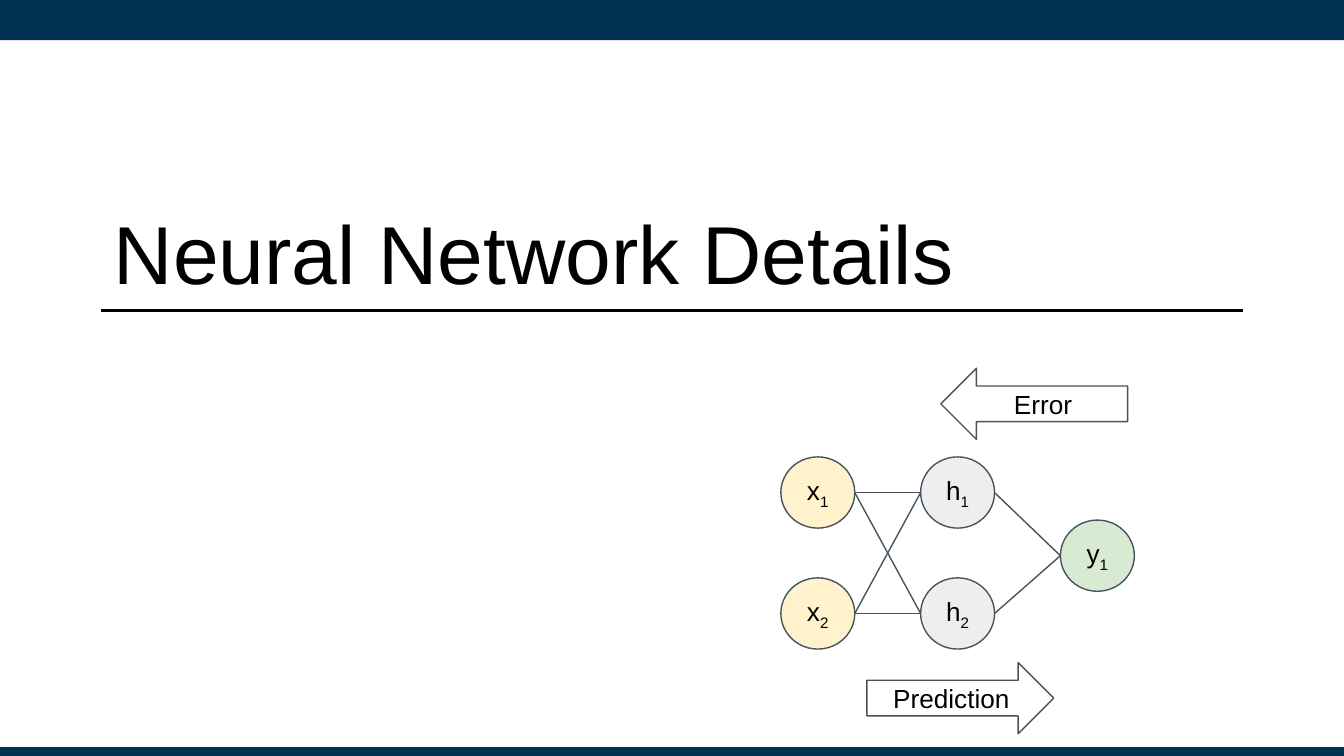
from itertools import product
from lxml.etree import SubElement
from pptx import Presentation
from pptx.dml.color import RGBColor
from pptx.enum.shapes import MSO_CONNECTOR, MSO_SHAPE
from pptx.enum.text import MSO_ANCHOR, PP_ALIGN
from pptx.oxml.ns import qn
from pptx.util import Inches, Pt

COLORS = {"navy": "003252", "black": "000000", "white": "FFFFFF", "edge": "46535E",
          "x": "FFF2CC", "h": "EEEEEE", "y": "D9EAD3"}
RGB = {name: RGBColor.from_string(code) for name, code in COLORS.items()}
PAD = Inches(0.1)
FRAME = {"word_wrap": True, "vertical_anchor": MSO_ANCHOR.MIDDLE,
         "margin_left": PAD, "margin_right": PAD}

# Slide in 16:9 format
deck = Presentation()
deck.slide_width = Inches(10)
deck.slide_height = Inches(10) * 9 // 16
slide = deck.slides.add_slide(deck.slide_layouts[6])
shapes = slide.shapes


def write(shape, text, size, pad, align, sub=""):
    frame = shape.text_frame
    for key, value in {**FRAME, "margin_top": pad, "margin_bottom": pad}.items():
        setattr(frame, key, value)
    para = frame.paragraphs[0]
    para.alignment = align
    for part in filter(None, (text, sub)):
        run = para.add_run()
        run.text = part
        for key, value in {"name": "Arial", "size": Pt(size)}.items():
            setattr(run.font, key, value)
        run.font.color.rgb = RGB["black"]
    if sub:
        run._r.get_or_add_rPr().set("baseline", "-25000")


def join(start, end, color, width):
    line = shapes.add_connector(MSO_CONNECTOR.STRAIGHT, *map(Inches, start + end))
    line.line.color.rgb = RGB[color]
    line.line.width = Pt(width)
    SubElement(line._element.spPr, qn("a:effectLst"))


# Bars at top and bottom
for top, high in ((0, 0.3), (5.56, 0.08)):
    bar = shapes.add_shape(MSO_SHAPE.RECTANGLE, 0, Inches(top), Inches(10), Inches(high))
    bar.shadow.inherit = False
    bar.fill.solid()
    bar.fill.fore_color.rgb = RGB["navy"]
    bar.line.fill.background()

# Title and rule
join((0.75, 2.31), (9.25, 2.31), "black", 1.25)
title = shapes.add_textbox(Inches(0.75), Inches(1.5), Inches(8.5), Inches(0.74))
write(title, "Neural Network Details", 44, Inches(0.05), PP_ALIGN.LEFT)

# Network nodes and flow arrows
WIDE, HIGH, LONG = 0.55, 0.53, 1.39
left = {name: 5.81 + 1.04 * col for col, name in enumerate("xhy")}
tops = {"x": (3.4, 4.3), "h": (3.4, 4.3), "y": (3.87,)}
parts = [(MSO_SHAPE.OVAL, left[name], top, WIDE, name, name, str(num))
         for name in tops for num, top in enumerate(tops[name], 1)]
parts += [(MSO_SHAPE.LEFT_ARROW, 7, 2.74, LONG, "white", "Error", ""),
          (MSO_SHAPE.RIGHT_ARROW, 6.45, 4.93, LONG, "white", "Prediction", "")]
for kind, x, y, wide, color, text, sub in parts:
    shape = shapes.add_shape(kind, *map(Inches, (x, y, wide, HIGH)))
    shape.shadow.inherit = False
    shape.fill.solid()
    shape.fill.fore_color.rgb = RGB[color]
    shape.line.color.rgb = RGB["edge"]
    shape.line.width = Pt(0.75)
    write(shape, text, 14, PAD, PP_ALIGN.CENTER, sub)

# Links between layers
for near, far in ("xh", "hy"):
    for begin, end in product(tops[near], tops[far]):
        join((left[near] + WIDE, begin + HIGH / 2), (left[far], end + HIGH / 2), "edge", 0.75)

deck.save("out.pptx")
